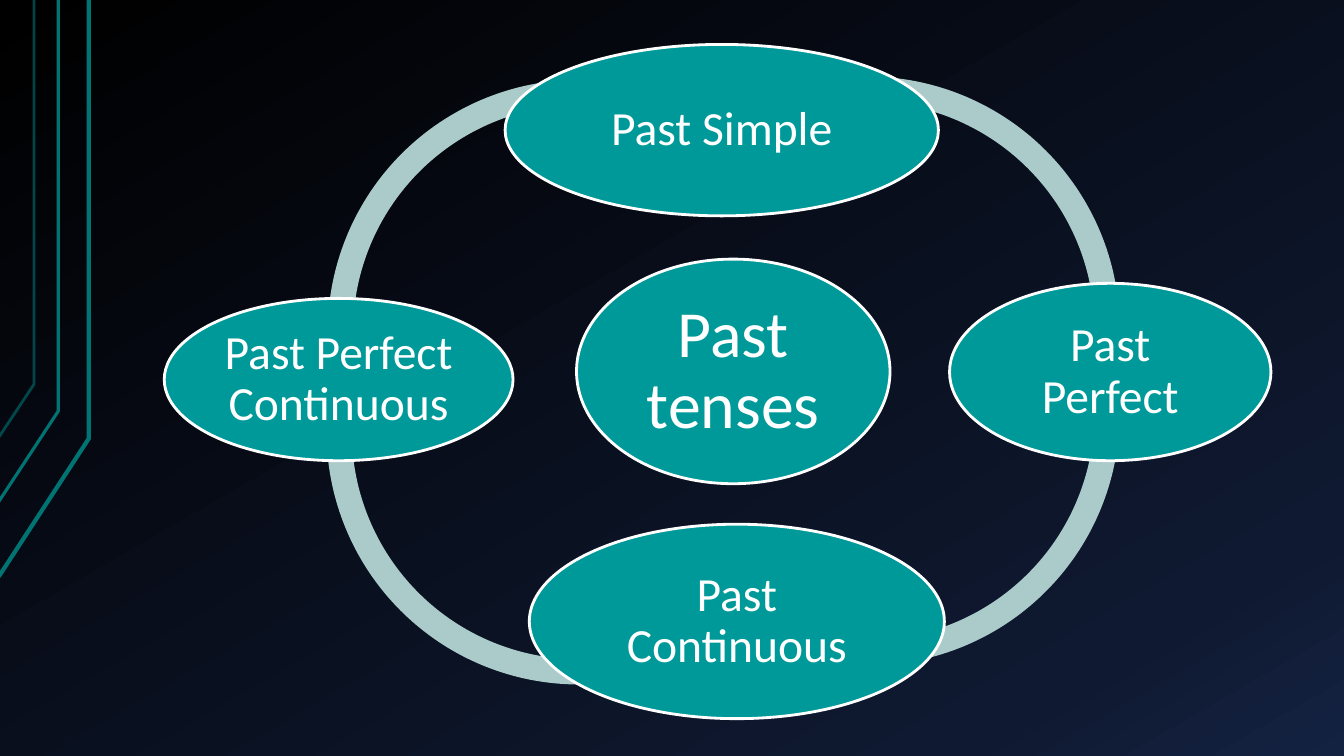
from copy import deepcopy

from lxml import etree
from pptx import Presentation
from pptx.dml.color import RGBColor
from pptx.enum.shapes import MSO_SHAPE
from pptx.enum.text import MSO_ANCHOR, PP_ALIGN
from pptx.oxml.ns import qn
from pptx.util import Cm, Pt

ELLIPSE, BLOCK_ARC = MSO_SHAPE.OVAL, MSO_SHAPE.BLOCK_ARC
CENTER, MIDDLE = PP_ALIGN.CENTER, MSO_ANCHOR.MIDDLE
FONT = "Calibri"
TEAL, DARK_TEAL, PALE_TEAL, WHITE = "009999", "007373", "ABCACA", "FFFFFF"
BACKGROUND_STOPS = [(0, "000000"), (0.85, "0F1931"), (1, "142242")]

# Points in cm from bottom to top, line width in points, opacity in percent
EDGE_LINES = [
    ([(-0.03, 14.53), (2.24, 11.05), (2.24, 0)], 3, 100),
    ([(-0.05, 12.67), (1.47, 10.36), (1.47, 0)], 2.25, 100),
    ([(-0.03, 11.02), (0.86, 9.68), (0.86, 0)], 2, 60),
]

# Left and top in cm, start and end angle in degrees
ARC_SIZE, ARC_THICKNESS = 12.73, 0.05
RING_ARCS = [
    (4.12, 0.89, 168.86, 305.11),
    (4.09, 3.4, 50.32, 192.16),
    (11.35, 2.92, 350.5, 122.07),
    (11.35, 0.81, 233.69, 9.98),
]

# Text, left, top, width, height in cm, font size, inset in cm
TENSES = [
    ("Past tenses", 10.39, 5.41, 7.9, 5.66, 47, 0.17),
    ("Past Simple", 8.59, 0, 10.92, 4.32, 34, 0.12),
    ("Past Perfect", 19.79, 6.02, 8.1, 4.47, 34, 0.12),
    ("Past Continuous", 9.2, 12.09, 10.46, 4.9, 34, 0.12),
    ("Past Perfect Continuous", 0, 6.4, 8.79, 4.09, 34, 0.12),
]


def color(hex_value):
    return RGBColor.from_string(hex_value)


def paint_background(slide):
    fill = slide.background.fill
    fill.gradient()
    fill.gradient_angle = 300  # counter-clockwise
    stop_list = slide.element.find(".//" + qn("a:gsLst"))
    stop_list.append(deepcopy(stop_list[-1]))
    for stop, (position, hex_value) in zip(fill.gradient_stops, BACKGROUND_STOPS):
        stop.position = position
        stop.color.rgb = color(hex_value)


def add_edge_lines(slide, left, top):
    for points, width, opacity in EDGE_LINES:
        start, *rest = [(Cm(left + x), Cm(top + y)) for x, y in points]
        builder = slide.shapes.build_freeform(*start)
        builder.add_line_segments(rest, close=False)
        shape = builder.convert_to_shape()
        shape.shadow.inherit = False
        shape.fill.background()
        shape.line.color.rgb = color(DARK_TEAL)
        shape.line.width = Pt(width)
        if opacity < 100:
            line_color = shape.element.find(".//" + qn("a:ln")).find(".//" + qn("a:srgbClr"))
            etree.SubElement(line_color, qn("a:alpha"), val=str(opacity * 1000))


def add_filled_shape(slide, kind, left, top, width, height, fill):
    shape = slide.shapes.add_shape(kind, Cm(left), Cm(top), Cm(width), Cm(height))
    shape.shadow.inherit = False
    shape.fill.solid()
    shape.fill.fore_color.rgb = color(fill)
    return shape


def add_ring(slide, left, top):
    for x, y, start, end in RING_ARCS:
        arc = add_filled_shape(slide, BLOCK_ARC, left + x, top + y,
                               ARC_SIZE, ARC_SIZE, PALE_TEAL)
        arc.line.fill.background()
        # One degree is 60000 units, and an adjustment of 1 is 100000
        arc.adjustments[0] = start * 0.6
        arc.adjustments[1] = end * 0.6
        arc.adjustments[2] = ARC_THICKNESS


def add_tenses(slide, left, top):
    for text, x, y, width, height, size, inset in TENSES:
        ellipse = add_filled_shape(slide, ELLIPSE, left + x, top + y,
                                   width, height, TEAL)
        ellipse.line.color.rgb = color(WHITE)
        ellipse.line.width = Pt(2)
        frame = ellipse.text_frame
        frame.word_wrap = True
        frame.vertical_anchor = MIDDLE
        frame.margin_left = frame.margin_right = Cm(inset)
        frame.margin_top = frame.margin_bottom = Cm(inset)
        paragraph = frame.paragraphs[0]
        paragraph.alignment = CENTER
        paragraph.line_spacing = 0.9
        run = paragraph.add_run()
        run.text = text
        run.font.name = FONT
        run.font.size = Pt(size)
        run.font.color.rgb = color(WHITE)


def add_cycle_diagram(slide, left, top):
    add_ring(slide, left, top)
    add_tenses(slide, left, top)


presentation = Presentation()
presentation.slide_width, presentation.slide_height = Cm(33.87), Cm(19.05)
slide = presentation.slides.add_slide(presentation.slide_layouts[6])
paint_background(slide)
add_edge_lines(slide, 0, 0)
add_cycle_diagram(slide, 4.14, 1.12)
presentation.save("out.pptx")
